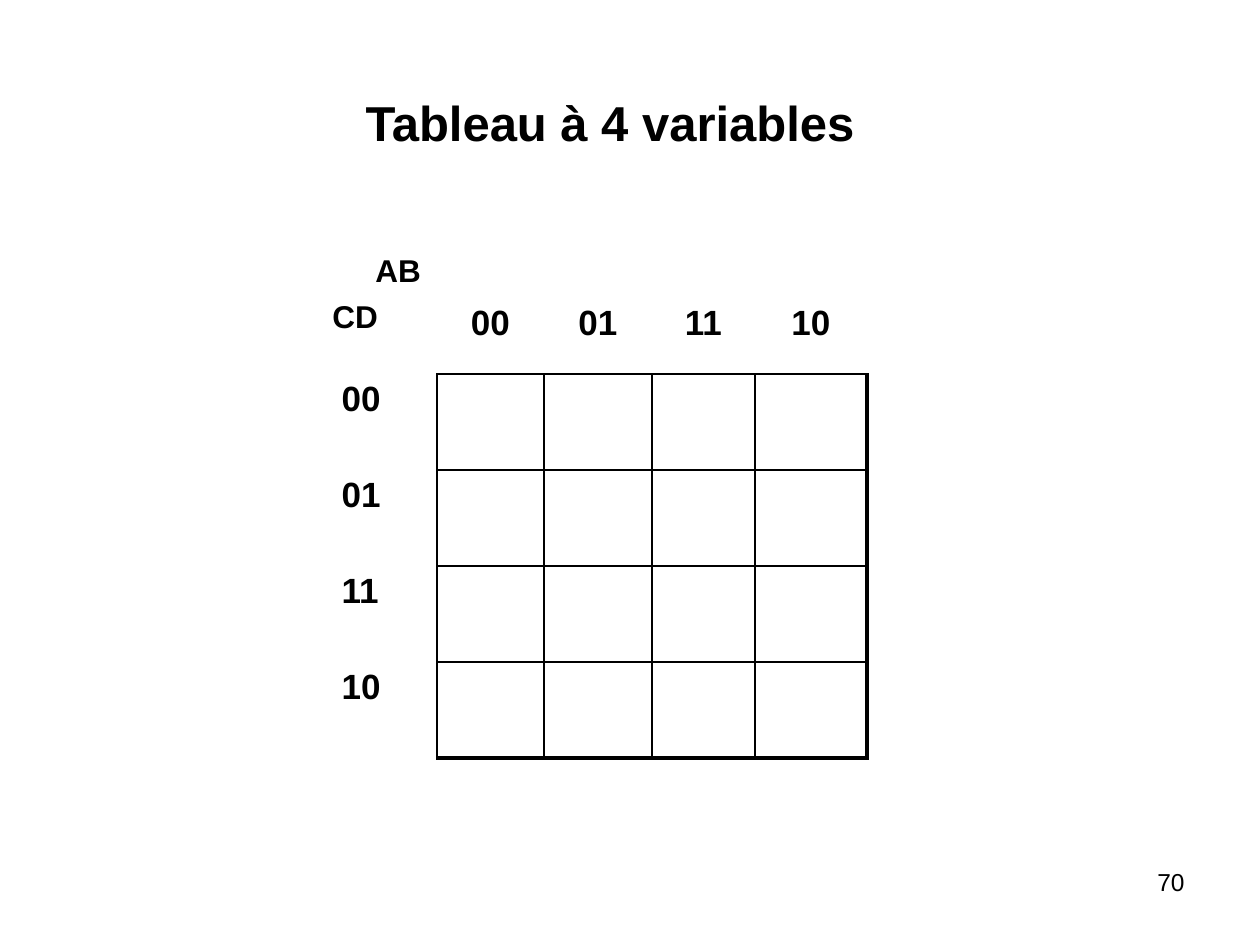
import pptx
import pptx.util
import pptx.dml.color
import pptx.enum.text
import pptx.oxml
import pptx.oxml.ns
import lxml.etree

PX = 914400 // 126
COLORS = {"ink": "000000", "paper": "FFFFFF"}
ALIGN = pptx.enum.text.PP_ALIGN
ANCHOR = pptx.enum.text.MSO_ANCHOR


def write_text(text_frame, text, size, bold=True, alignment=ALIGN.LEFT):
    text_frame.text = text
    text_frame.word_wrap = True
    paragraph = text_frame.paragraphs[0]
    paragraph.alignment = alignment
    font = paragraph.runs[0].font
    font.name = "Arial"
    font.size = pptx.util.Pt(size)
    font.bold = bold
    font.color.rgb = pptx.dml.color.RGBColor.from_string(COLORS["ink"])


def add_border(cell, side, points):
    properties = cell._tc.get_or_add_tcPr()
    line = lxml.etree.SubElement(properties, pptx.oxml.ns.qn(f"a:ln{side}"))
    line.set("w", str(pptx.util.Pt(points)))
    if points:
        fill = lxml.etree.SubElement(line, pptx.oxml.ns.qn("a:solidFill"))
        color = lxml.etree.SubElement(fill, pptx.oxml.ns.qn("a:srgbClr"))
        color.set("val", COLORS["ink"])
    else:
        lxml.etree.SubElement(line, pptx.oxml.ns.qn("a:noFill"))


presentation = pptx.Presentation()
presentation.slide_width = 1260 * PX
presentation.slide_height = 945 * PX
slide = presentation.slides.add_slide(presentation.slide_layouts[5])
slide.background.fill.solid()
slide.background.fill.fore_color.rgb = pptx.dml.color.RGBColor.from_string(COLORS["paper"])

title = slide.shapes.title
title.left, title.top, title.width, title.height = 353 * PX, 86 * PX, 525 * PX, 72 * PX
write_text(title.text_frame, "Tableau à 4 variables", 28)
title.text_frame.vertical_anchor = ANCHOR.MIDDLE

codes = ["00", "01", "11", "10"]
column_widths = [108, 107, 108, 103, 112]
row_heights = [122, 96, 96, 96, 96]
last = len(codes)
table = slide.shapes.add_table(
    last + 1, last + 1, 329 * PX, 252 * PX, sum(column_widths) * PX, sum(row_heights) * PX
).table
table.first_row = False
table.horz_banding = False
for column, width in zip(table.columns, column_widths):
    column.width = width * PX
for row, height in zip(table.rows, row_heights):
    row.height = height * PX

for row in range(last + 1):
    for column in range(last + 1):
        cell = table.cell(row, column)
        in_grid = row > 0 and column > 0
        borders = {
            "L": 1 if in_grid else 0,
            "R": (2.25 if column == last else 1) if row > 0 else 0,
            "T": 1 if in_grid else 0,
            "B": (2.25 if row == last else 1) if column > 0 else 0,
        }
        if row == 0:
            borders["B"] = 1 if column > 0 else 0
        for side, points in borders.items():
            add_border(cell, side, points)
        cell.fill.background()
        if row == 0 and column > 0:
            cell.margin_top = 52 * PX
            write_text(cell.text_frame, codes[column - 1], 20, alignment=ALIGN.CENTER)
        elif column == 0 and row > 0:
            write_text(cell.text_frame, codes[row - 1], 20)

labels = [
    ("AB", 363, 245, 107, 50, 18, True, ALIGN.LEFT),
    ("CD", 320, 291, 89, 50, 18, True, ALIGN.LEFT),
    ("70", 903, 861, 294, 66, 14, False, ALIGN.RIGHT),
]
for text, left, top, width, height, size, bold, alignment in labels:
    label = slide.shapes.add_textbox(left * PX, top * PX, width * PX, height * PX)
    write_text(label.text_frame, text, size, bold, alignment)

presentation.save("out.pptx")
